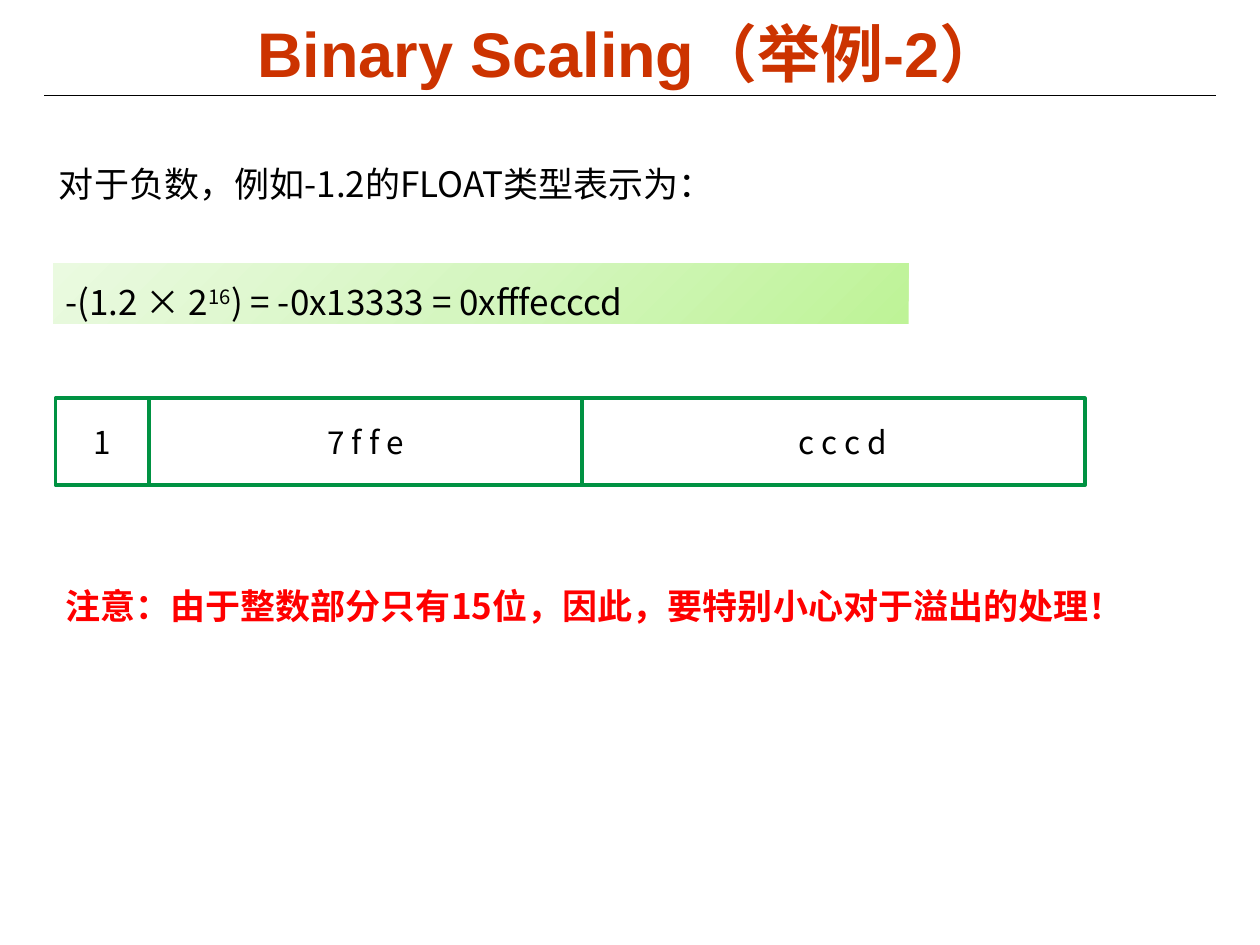
import copy
import pptx
import pptx.util
import pptx.dml.color
import pptx.enum.shapes
import pptx.enum.text
import pptx.oxml
import pptx.oxml.ns

Cm, Pt = pptx.util.Cm, pptx.util.Pt
RGBColor = pptx.dml.color.RGBColor
Align = pptx.enum.text.PP_ALIGN
Anchor = pptx.enum.text.MSO_ANCHOR
RECT = pptx.enum.shapes.MSO_SHAPE.RECTANGLE
LINE = pptx.enum.shapes.MSO_CONNECTOR.STRAIGHT

BLACK = RGBColor(0x00, 0x00, 0x00)
RED = RGBColor(0xFF, 0x00, 0x00)
RUST = RGBColor(0xCC, 0x33, 0x00)
GREEN = RGBColor(0x00, 0x92, 0x42)
FADE = [RGBColor(0xBE, 0xF3, 0x97), RGBColor(0xD5, 0xF6, 0xC0),
        RGBColor(0xEA, 0xFA, 0xE0)]
SANS = "Noto Sans CJK SC"

# Content: text, then left, top, width, height in cm
TITLE = "Binary Scaling（举例-2）", (1.27, 0.28, 22.86, 1.55)
INTRO = "对于负数，例如-1.2的FLOAT类型表示为：", (0.94, 3.15, 13.74, 1.12)
NOTE = ("注意：由于整数部分只有15位，因此，要特别小心对于溢出的处理！",
        (1.07, 11.66, 21.87, 1.12))
# Formula runs: text, raised or not
SUM = [("-(1.2 × 2", False), ("16", True), (") = -0x13333 = 0xfffecccd", False)]
SUM_BOX = (1.07, 5.31, 17.25, 1.22)
# Register fields: text, centre of the label, width of the label
FIELDS = [("1", 2.07, 2.0), ("7 f f e", 7.37, 3.25), ("c c c d", 16.99, 3.25)]
WORD_BOX = (1.12, 8.03, 20.75, 1.75)
CUTS = [3.0, 11.73]

deck = pptx.Presentation()
deck.slide_width, deck.slide_height = Cm(25.4), Cm(19.05)
slide = deck.slides.add_slide(deck.slide_layouts[6])
shapes = slide.shapes


def write(text, box=None, shape=None, size=20, color=BLACK, bold=False,
          font=SANS, align=Align.LEFT, anchor=Anchor.TOP, pitch=None):
    """Put text, or a list of (text, raised) runs, in a shape or new box."""
    if shape is None:
        shape = shapes.add_textbox(*map(Cm, box))
    frame = shape.text_frame
    frame.word_wrap = True
    frame.vertical_anchor = anchor
    para = frame.paragraphs[0]
    para.alignment = align
    if pitch:
        para.line_spacing = Pt(pitch)
    for part, raised in [(text, False)] if isinstance(text, str) else text:
        run = para.add_run()
        run.text = part
        run.font.name, run.font.size = font, Pt(size)
        run.font.bold = bold
        run.font.color.rgb = color
        props = run._r.get_or_add_rPr()
        east = pptx.oxml.ns.qn("a:ea")
        props.find(pptx.oxml.ns.qn("a:latin")).addnext(
            props.makeelement(east, {"typeface": SANS}))
        if raised:
            props.set("baseline", "30000")


def rule(x1, y1, x2, y2, color, width):
    line = shapes.add_connector(LINE, *map(Cm, (x1, y1, x2, y2)))
    line.line.color.rgb, line.line.width = color, Pt(width)
    props = line._element.spPr
    props.append(props.makeelement(pptx.oxml.ns.qn("a:effectLst"), {}))


def block(box):
    shape = shapes.add_shape(RECT, *map(Cm, box))
    shape.shadow.inherit = False
    return shape


# Title and the rule below it
rule(0.89, 1.93, 24.51, 1.93, BLACK, 0.75)
write(*TITLE, size=36, color=RUST, bold=True, font="Arial",
      align=Align.CENTER, anchor=Anchor.MIDDLE)

# Formula on a three-stop gradient
band = block(SUM_BOX)
band.line.fill.background()
band.fill.gradient()
band.fill.gradient_angle = 135
stops = band._element.spPr.find(".//" + pptx.oxml.ns.qn("a:gsLst"))
stops.insert(1, copy.deepcopy(stops[0]))
for i, stop in enumerate(band.fill.gradient_stops):
    stop.position = i / 2
    stop.color.rgb = FADE[i]
write(SUM, shape=band, pitch=30)

write(*INTRO)

# Register split into sign, integer and fraction
word = block(WORD_BOX)
word.fill.background()
word.line.color.rgb, word.line.width = GREEN, Pt(2.25)
top, high = WORD_BOX[1], WORD_BOX[3]
for x in CUTS:
    rule(x, top, x, top + high, GREEN, 2.25)
for text, mid, wide in FIELDS:
    write(text, (mid - wide / 2, top + 0.38, wide, 1.02), size=18,
          align=Align.CENTER)

write(*NOTE, color=RED, bold=True)

deck.save("out.pptx")
